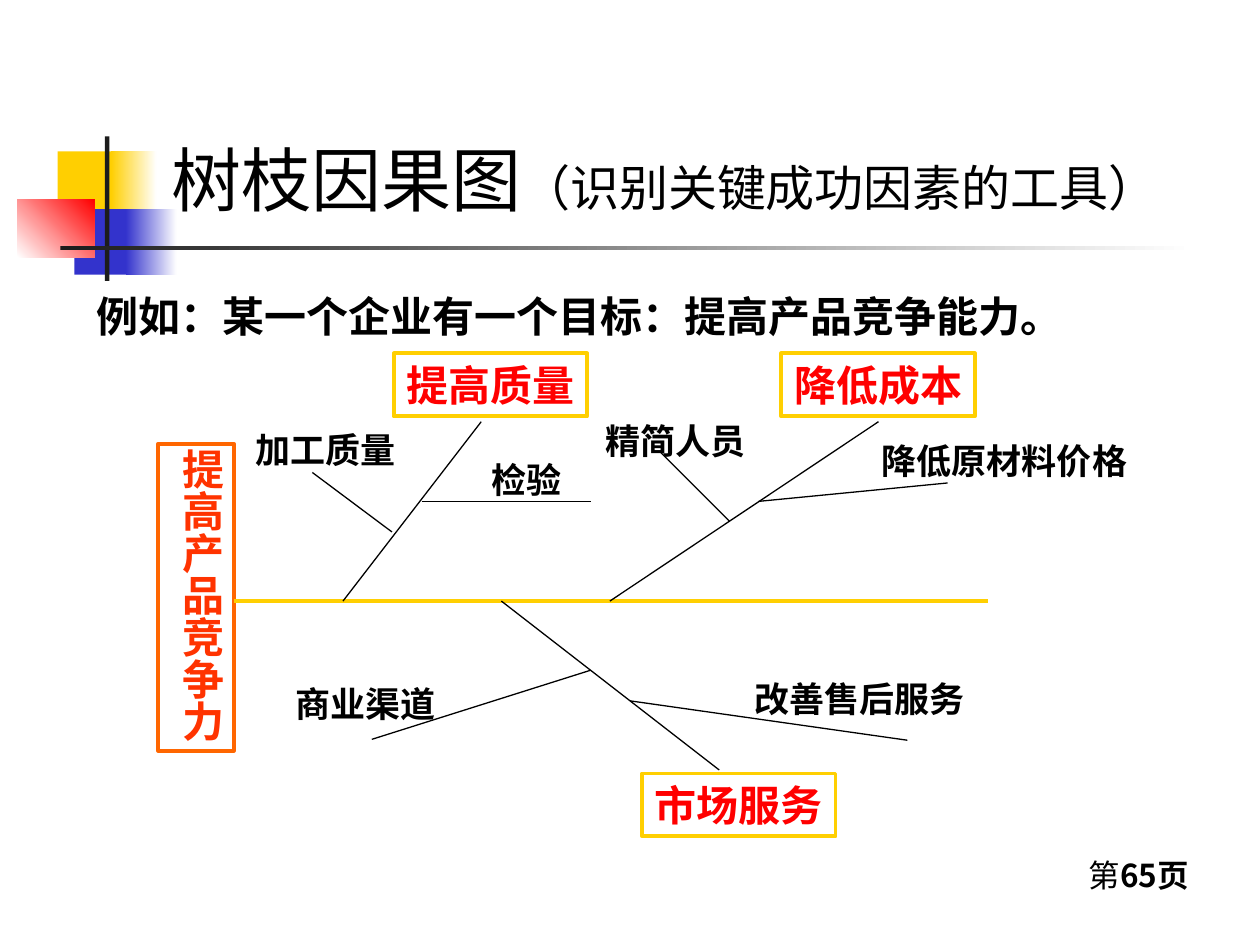
from lxml import etree
from pptx import Presentation
from pptx import util as u
from pptx.dml.color import RGBColor
from pptx.enum import shapes, text
from pptx.oxml.ns import qn

CJK_FONT = "Noto Sans CJK SC"
BODY_FONT = "Times New Roman"
BLACK, DARK, WHITE = "000000", "1C1C1C", "FFFFFF"
YELLOW, BLUE, RED = "FFCF01", "3333CC", "FF0000"
SPINE_Y = 343.5

# Emblem and title rule: left, top, width, height, colours, gradient angle
DECORATION = [
    (33, 86.5, 34.5, 37.5, [YELLOW], 0),
    (63.5, 86.5, 26, 37.5, [YELLOW, WHITE], 0),
    (42.5, 119.5, 33, 37.5, [BLUE], 0),
    (72, 119.5, 29, 37.5, [BLUE, WHITE], 0),
    (10, 114, 44, 33, [WHITE, RED], 45),
    (60, 78, 2.5, 82.5, [DARK], 0),
    (34.5, 140.5, 648, 2.5, [DARK, WHITE], 0),
]

# Each branch: name, box corner, bone, then causes as
# (label, (left, top, width), twig)
BRANCHES = [
    ("提高质量", (225, 202), (196, SPINE_Y, 275, 241), [
        ("加工质量", (139, 241.5, 94.5), (178.5, 270, 224, 304)),
        ("检验", (274, 258.5, 54), (241, 286.5, 337.5, 286.5)),
    ]),
    ("降低成本", (446.5, 202), (348.5, SPINE_Y, 502, 241), [
        ("精简人员", (339, 236, 94.5), (377.5, 258.5, 417, 298)),
        ("降低原材料价格", (496.5, 247.5, 155), (433.5, 286.5, 541.5, 276)),
    ]),
    ("市场服务", (367, 442), (286.5, SPINE_Y, 411, 440), [
        ("商业渠道", (161.5, 386.5, 94.5), (212.5, 422.5, 337.5, 383)),
        ("改善售后服务", (423.5, 383.5, 135), (360, 400.5, 518.5, 423)),
    ]),
]


def color(hex_value):
    return RGBColor.from_string(hex_value)


def points(values):
    return [u.Pt(value) for value in values]


def add_block(slide, box, colors, angle):
    """Borderless rectangle with a solid or two-colour fill."""
    shape = slide.shapes.add_shape(shapes.MSO_SHAPE.RECTANGLE, *points(box))
    shape.shadow.inherit = False
    shape.line.fill.background()
    if len(colors) == 1:
        shape.fill.solid()
        shape.fill.fore_color.rgb = color(colors[0])
        return
    shape.fill.gradient()
    shape.fill.gradient_angle = angle
    for stop, hex_value in zip(shape.fill.gradient_stops, colors):
        stop.color.rgb = color(hex_value)


def add_line(slide, ends, hex_value=BLACK, width=0.75):
    line = slide.shapes.add_connector(
        shapes.MSO_CONNECTOR.STRAIGHT, *points(ends))
    line.line.color.rgb = color(hex_value)
    line.line.width = u.Pt(width)
    etree.SubElement(line._element.spPr, qn("a:effectLst"))


def add_run(paragraph, wording, size, hex_value=BLACK, bold=True,
            font=BODY_FONT):
    run = paragraph.add_run()
    run.text = wording
    run.font.size = u.Pt(size)
    run.font.bold = bold
    run.font.color.rgb = color(hex_value)
    run.font.name = font
    east_asian = etree.SubElement(run.font._element, qn("a:ea"))
    east_asian.set("typeface", CJK_FONT)


def add_text(slide, box, wrap=True, align=text.PP_ALIGN.LEFT,
             anchor=text.MSO_ANCHOR.TOP):
    """Text box; returns the shape and its first paragraph."""
    shape = slide.shapes.add_textbox(*points(box))
    frame = shape.text_frame
    frame.word_wrap = wrap
    frame.vertical_anchor = anchor
    paragraph = frame.paragraphs[0]
    paragraph.alignment = align
    return shape, paragraph


def add_label(slide, box, wording, size=20, hex_value=BLACK, border=None):
    """Centred bold label, framed when a border colour is given."""
    shape, paragraph = add_text(slide, box, False, text.PP_ALIGN.CENTER)
    # Narrow side margins keep the label on one line
    shape.text_frame.margin_left = shape.text_frame.margin_right = u.Pt(3.6)
    add_run(paragraph, wording, size, hex_value)
    if border:
        shape.line.color.rgb = color(border)
        shape.line.width = u.Pt(2.25)
    return shape


def make_vertical(shape):
    frame = shape.text_frame
    frame.margin_top = frame.margin_bottom = u.Pt(3)
    frame._txBody.bodyPr.set("vert", "eaVert")


def add_branch(slide, name, corner, bone, causes):
    add_label(slide, (*corner, 110.5, 36), name, 24, RED, YELLOW)
    add_line(slide, bone)
    for wording, place, twig in causes:
        add_line(slide, twig)
        add_label(slide, (*place, 31.5), wording)


def main():
    presentation = Presentation()
    presentation.slide_width, presentation.slide_height = points((720, 540))
    slide = presentation.slides.add_slide(presentation.slide_layouts[6])

    # Emblem and title rule
    for *box, colors, angle in DECORATION:
        add_block(slide, box, colors, angle)

    # Page number
    _, paragraph = add_text(slide, (615, 485.5, 78, 54.5))
    add_run(paragraph, "第", 18, bold=False, font=CJK_FONT)
    add_run(paragraph, "65页", 18, font=CJK_FONT)

    # Title and example
    _, paragraph = add_text(slide, (91, 38.5, 613.5, 91),
                            anchor=text.MSO_ANCHOR.BOTTOM)
    add_run(paragraph, "树枝因果图", 40, bold=False, font="Karla")
    add_run(paragraph, "（识别关键成功因素的工具）", 28, bold=False,
            font="Karla")
    _, paragraph = add_text(slide, (48, 162.5, 619, 36))
    add_run(paragraph, "例如：某一个企业有一个目标：提高产品竞争能力。", 24)

    # Goal and spine
    goal = add_label(slide, (90.5, 253.5, 43, 175.5), "提高产品竞争力",
                     24, "FF3300", "FF6600")
    make_vertical(goal)
    add_line(slide, (133.5, SPINE_Y, 564.5, SPINE_Y), YELLOW, 2.25)

    # Branches with their causes
    for branch in BRANCHES:
        add_branch(slide, *branch)

    presentation.save("out.pptx")


if __name__ == "__main__":
    main()
